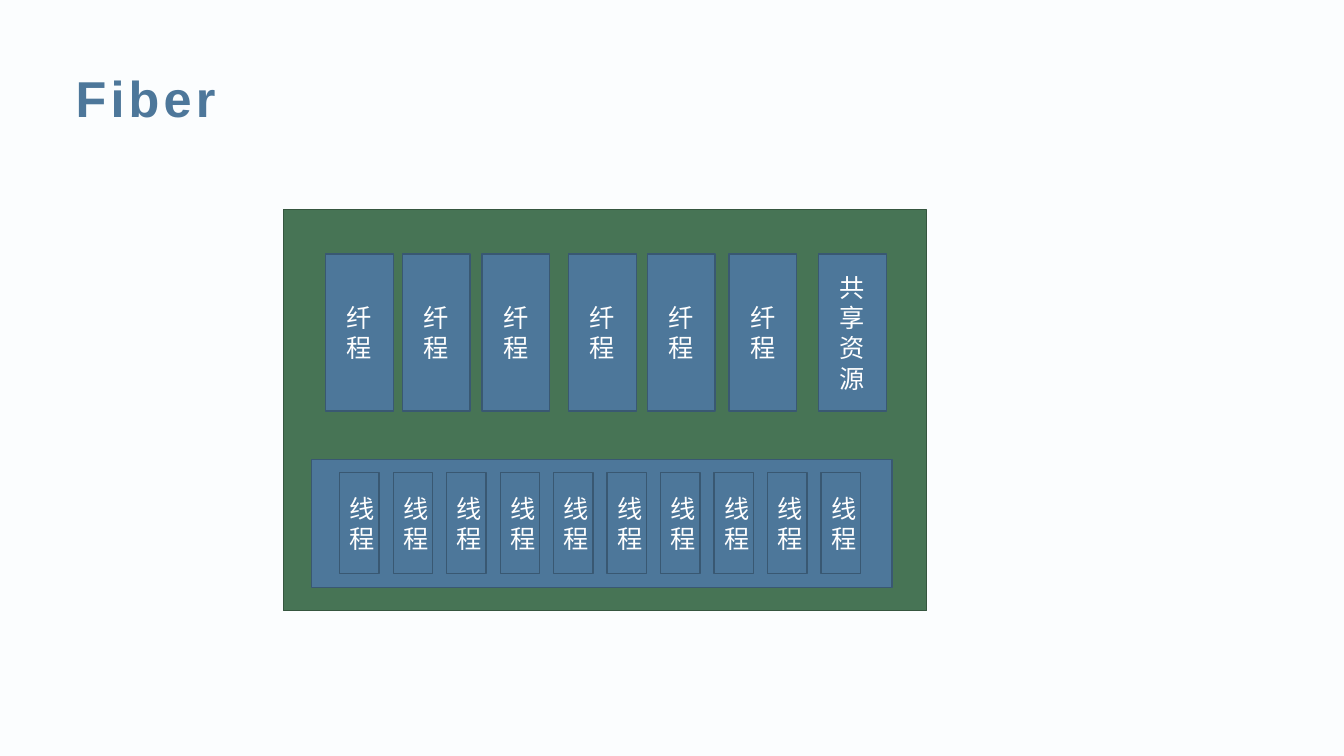
import pptx
import pptx.util
import pptx.dml.color
import pptx.enum.shapes
import pptx.enum.text

RGBColor = pptx.dml.color.RGBColor
BACKGROUND = RGBColor(0xFB, 0xFD, 0xFE)
BLUE = RGBColor(0x4D, 0x77, 0x9A)
BLUE_LINE = RGBColor(0x39, 0x58, 0x72)
GREEN = RGBColor(0x47, 0x74, 0x55)
GREEN_LINE = RGBColor(0x35, 0x56, 0x3F)
WHITE = RGBColor(0xFF, 0xFF, 0xFF)
FONT = "Arial"

SLIDE_WIDTH = pptx.util.Inches(13.33)
SLIDE_HEIGHT = pptx.util.Inches(7.5)

# Horizontal and vertical places are percentages of the slide's size
FIBER_LEFTS = [24.23, 29.93, 35.86, 42.31, 48.16, 54.24]
RESOURCE_LEFT = 60.92
FIBER_TOP, FIBER_WIDTH, FIBER_HEIGHT = 33.6, 5.03, 20.8
THREAD_COUNT, THREAD_LEFT, THREAD_PITCH = 10, 25.28, 3.98
THREAD_TOP, THREAD_WIDTH, THREAD_HEIGHT = 62.53, 2.93, 13.33


def across(percent):
    return round(SLIDE_WIDTH * percent / 100)


def down(percent):
    return round(SLIDE_HEIGHT * percent / 100)


def set_font(paragraph, size, color, bold=False):
    paragraph.font.name = FONT
    paragraph.font.size = pptx.util.Pt(size)
    paragraph.font.color.rgb = color
    paragraph.font.bold = bold


def add_title(slide, text):
    title = slide.shapes.title
    title.left, title.top = across(4.88), down(7.73)
    title.width, title.height = across(92.12), down(10.27)
    frame = title.text_frame
    frame.text = text
    frame.auto_size = pptx.enum.text.MSO_AUTO_SIZE.NONE
    frame.vertical_anchor = pptx.enum.text.MSO_ANCHOR.MIDDLE
    paragraph = frame.paragraphs[0]
    paragraph.alignment = pptx.enum.text.PP_ALIGN.LEFT
    set_font(paragraph, 36, BLUE, bold=True)
    # Letter spacing of 3 points
    paragraph.runs[0].font._element.set("spc", "300")


def add_box(group, left, top, width, height, text="", fill=BLUE, line=BLUE_LINE):
    box = group.shapes.add_shape(
        pptx.enum.shapes.MSO_SHAPE.RECTANGLE,
        across(left), down(top), across(width), down(height))
    box.shadow.inherit = False
    box.fill.solid()
    box.fill.fore_color.rgb = fill
    box.line.color.rgb = line
    box.line.width = pptx.util.Pt(1)
    if text:
        frame = box.text_frame
        frame.text = text
        frame.word_wrap = True
        frame.vertical_anchor = pptx.enum.text.MSO_ANCHOR.MIDDLE
        paragraph = frame.paragraphs[0]
        paragraph.alignment = pptx.enum.text.PP_ALIGN.CENTER
        set_font(paragraph, 18, WHITE)


def main():
    presentation = pptx.Presentation()
    presentation.slide_width = SLIDE_WIDTH
    presentation.slide_height = SLIDE_HEIGHT
    slide = presentation.slides.add_slide(presentation.slide_layouts[5])
    slide.background.fill.solid()
    slide.background.fill.fore_color.rgb = BACKGROUND
    add_title(slide, "Fiber")

    # Process frame and thread pool
    process = slide.shapes.add_group_shape()
    add_box(process, 21.08, 27.73, 47.86, 53.07, fill=GREEN, line=GREEN_LINE)
    add_box(process, 23.18, 60.8, 43.21, 16.93)

    # Threads at an equal pitch
    for index in range(THREAD_COUNT):
        add_box(process, THREAD_LEFT + index * THREAD_PITCH, THREAD_TOP,
                THREAD_WIDTH, THREAD_HEIGHT, "线程")

    # Fibers, then the resources they share
    upper_row = [(left, "纤程") for left in FIBER_LEFTS]
    upper_row.append((RESOURCE_LEFT, "共享资源"))
    for left, text in upper_row:
        add_box(process, left, FIBER_TOP, FIBER_WIDTH, FIBER_HEIGHT, text)

    presentation.save("out.pptx")


if __name__ == "__main__":
    main()
